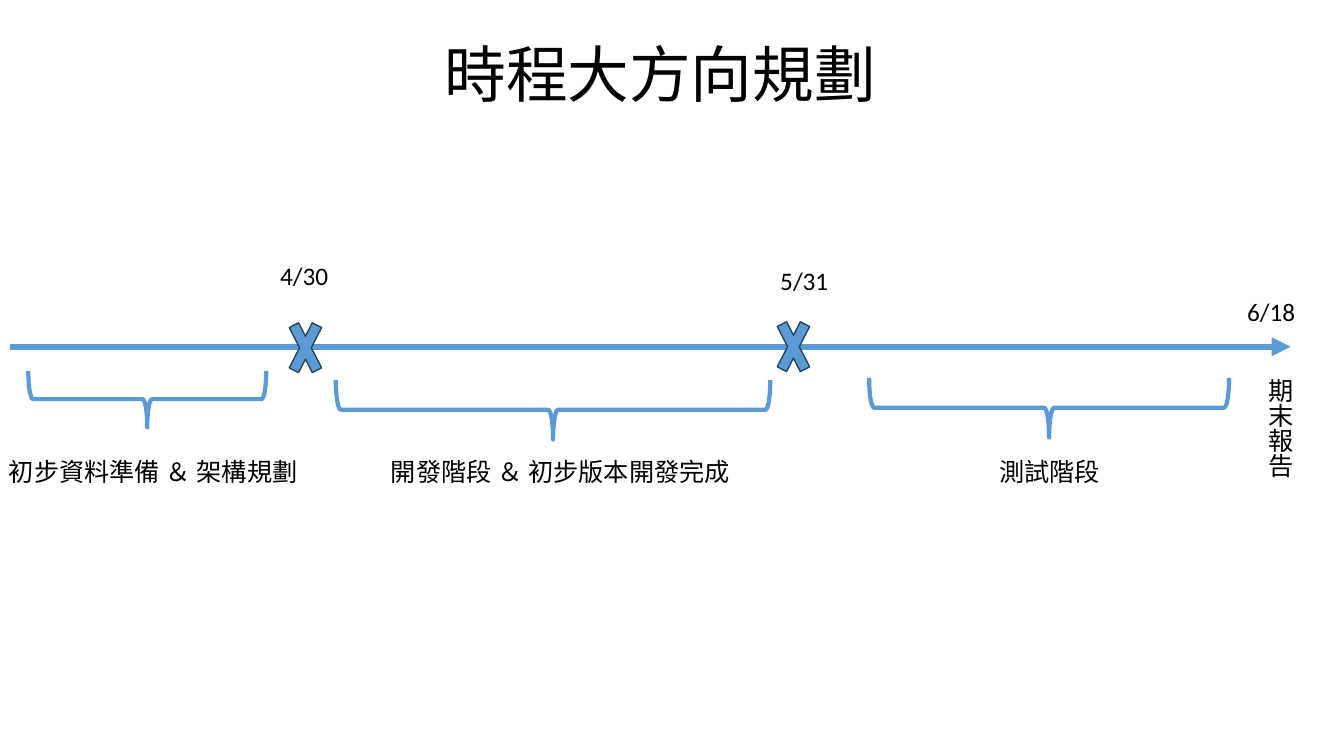
import pptx
import pptx.util
import pptx.dml.color
import pptx.enum.shapes
import pptx.enum.text
import pptx.oxml.ns
import lxml.etree

Inches = pptx.util.Inches
Shapes = pptx.enum.shapes.MSO_SHAPE
COLORS = {"blue": "5B9BD5", "outline": "28445D", "text": "000000"}


def color(name):
    """Return the named colour as an RGB value."""
    return pptx.dml.color.RGBColor.from_string(COLORS[name])


def apply(target, formats):
    """Set each attribute in formats on target."""
    for name, value in formats.items():
        setattr(target, name, value)


def style_line(line, name, points):
    """Give a line its colour and width."""
    line.color.rgb = color(name)
    line.width = pptx.util.Pt(points)


def add_text(page, text, left, top, width, height, size=18, wrap=False, vertical=False):
    """Add a text box, optionally with upright vertical characters."""
    box = page.shapes.add_textbox(Inches(left), Inches(top), Inches(width), Inches(height))
    apply(box.text_frame, {
        "word_wrap": wrap,
        "auto_size": pptx.enum.text.MSO_AUTO_SIZE.SHAPE_TO_FIT_TEXT,
    })
    if vertical:
        box.text_frame._txBody.bodyPr.set("vert", "eaVert")
    span = box.text_frame.paragraphs[0].add_run()
    apply(span, {"text": text})
    apply(span.font, {"name": "Calibri", "size": pptx.util.Pt(size)})
    span.font.color.rgb = color("text")


def add_timeline(page, left, right, y):
    """Draw the time axis with an arrowhead at its right end."""
    axis = page.shapes.add_connector(
        pptx.enum.shapes.MSO_CONNECTOR.STRAIGHT,
        Inches(left), Inches(y), Inches(right), Inches(y))
    style_line(axis.line, "blue", 4.5)
    properties = axis._element.spPr
    outline = properties.find(pptx.oxml.ns.qn("a:ln"))
    lxml.etree.SubElement(outline, pptx.oxml.ns.qn("a:tailEnd"), type="triangle")
    lxml.etree.SubElement(properties, pptx.oxml.ns.qn("a:effectLst"))


def add_milestone(page, left, top):
    """Mark a date on the axis with a cross."""
    cross = page.shapes.add_shape(
        Shapes.MATH_MULTIPLY, Inches(left), Inches(top), Inches(0.44), Inches(0.86))
    cross.shadow.inherit = False
    cross.fill.solid()
    cross.fill.fore_color.rgb = color("blue")
    style_line(cross.line, "outline", 1)


def add_brace(page, left, top, span, depth):
    """Draw a downward brace covering span inches from left."""
    brace = page.shapes.add_shape(
        Shapes.RIGHT_BRACE,
        Inches(left + (span - depth) / 2), Inches(top + (depth - span) / 2),
        Inches(depth), Inches(span))
    apply(brace, {"rotation": 90})
    brace.shadow.inherit = False
    brace.fill.background()
    style_line(brace.line, "blue", 3)


def main():
    """Build the schedule slide."""
    deck = pptx.Presentation()
    apply(deck, {"slide_width": Inches(13.33), "slide_height": Inches(7.5)})
    page = deck.slides.add_slide(deck.slide_layouts[6])

    add_text(page, "時程大方向規劃", 4.31, 0.31, 4.71, 0.84, size=44, wrap=True)
    add_timeline(page, 0.1, 12.8, 3.44)

    for left, top in [(2.81, 3.02), (7.65, 3.01)]:
        add_milestone(page, left, top)
    for date, left, top in [("4/30", 2.68, 2.53), ("5/31", 7.64, 2.58), ("6/18", 12.27, 2.89)]:
        add_text(page, date, left, top, 0.68, 0.4)

    phases = [
        ("初步資料準備 ＆ 架構規劃", -0.01, 3.09, (0.28, 3.68, 2.36, 0.56)),
        ("開發階段 ＆ 初步版本開發完成", 3.78, 3.6, (3.33, 3.77, 4.31, 0.59)),
        ("測試階段", 9.81, 1.21, (8.62, 3.75, 3.57, 0.59)),
    ]
    for label, left, width, brace in phases:
        add_brace(page, *brace)
        add_text(page, label, left, 4.48, width, 0.4)
    add_text(page, "期末報告", 12.4, 3.65, 0.5, 1.11, vertical=True)

    deck.save("out.pptx")


if __name__ == "__main__":
    main()
